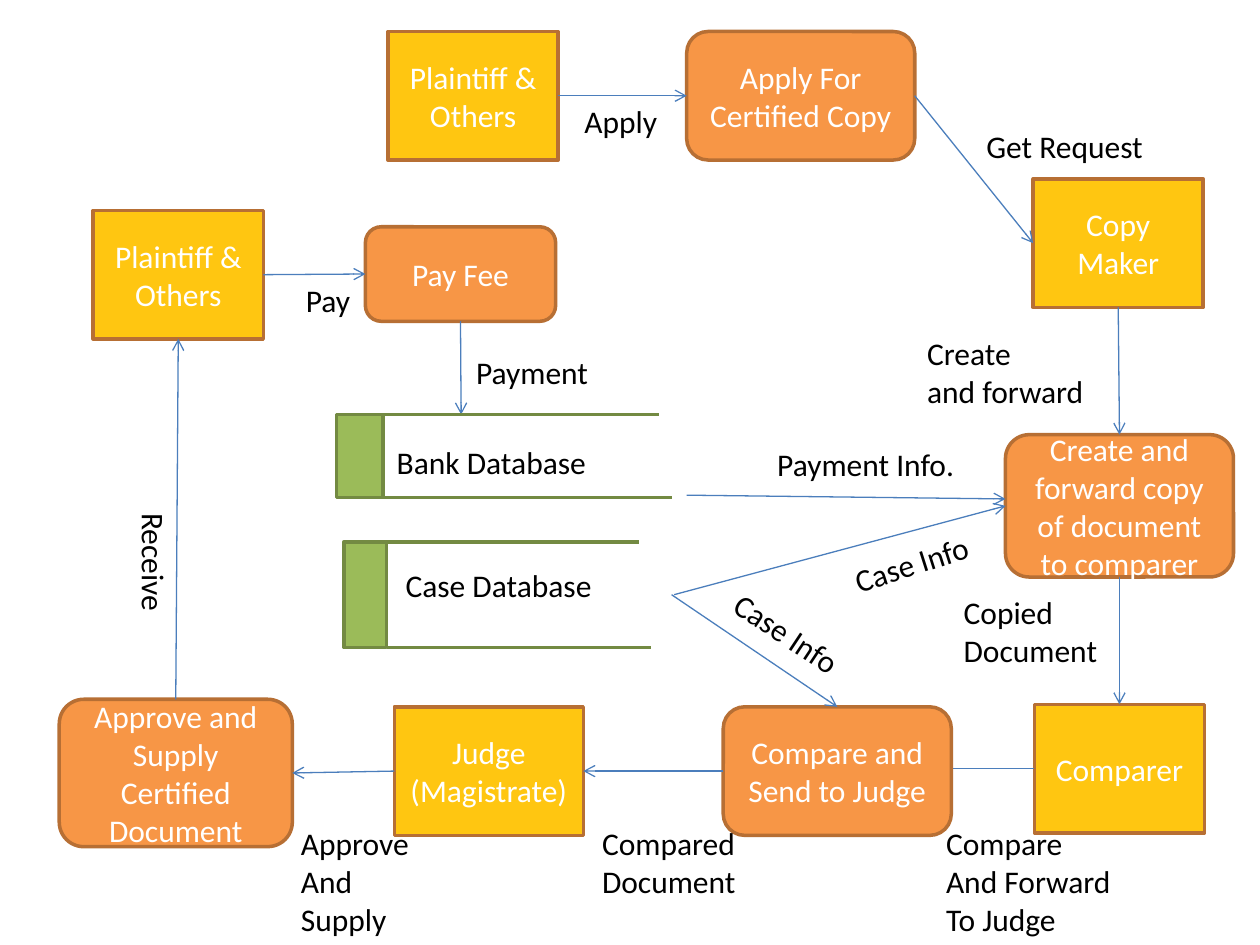
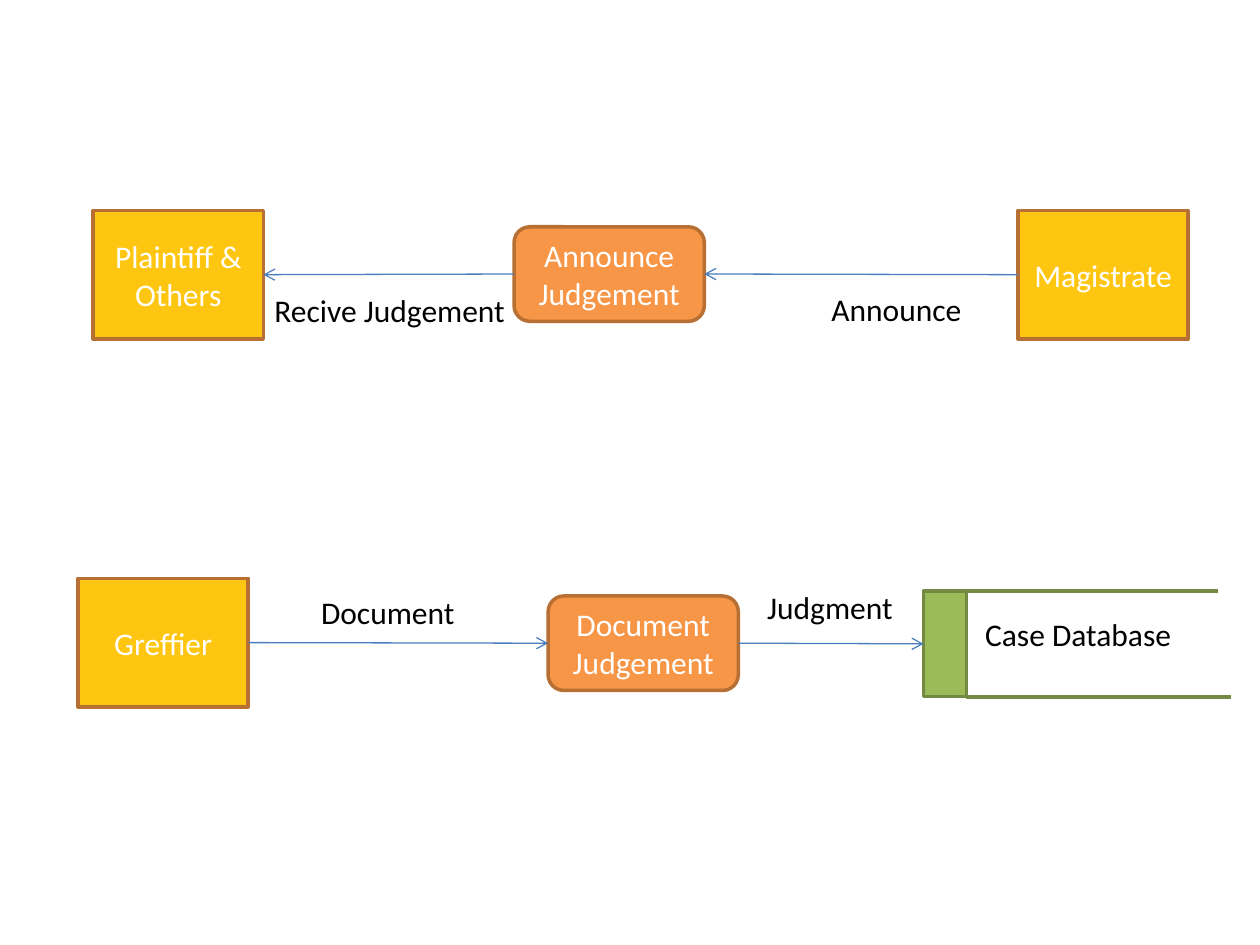
from pptx import Presentation
from pptx.dml.color import RGBColor
from pptx.enum.shapes import MSO_CONNECTOR as Wire, MSO_SHAPE as Form
from pptx.enum.text import MSO_ANCHOR as Anchor, PP_ALIGN as Align
from pptx.oxml.ns import qn
from pptx.util import Inches, Pt
from lxml.etree import SubElement

GOLD, AMBER, RUST = "FFC611", "F79646", "B76F34"
GREEN, MOSS, BLUE = "9BBB59", "738A42", "4B7EBC"
WHITE, BLACK = "FFFFFF", "000000"
TOP, LEFT, BOTTOM, RIGHT = range(4)
ACTOR, SMALL, LARGE = (1.35, 1.02), (1.51, 0.75), (1.81, 1.02)


def tint(code):
    """Turn a hex string into a colour."""
    return RGBColor.from_string(code)


def write(shape, text, color=BLACK, align=Align.LEFT, anchor=Anchor.TOP, wrap=True):
    """Put formatted text into a shape."""
    frame = shape.text_frame
    frame.text = text
    frame.word_wrap = wrap
    frame.vertical_anchor = anchor
    for para in frame.paragraphs:
        para.alignment = align
        para.font.name = "Calibri"
        para.font.size = Pt(18)
        para.font.color.rgb = tint(color)


class Pane:
    """A region of a slide whose parts are placed from its corner."""

    def __init__(self, slide, x=0, y=0):
        """Keep the slide and the corner."""
        self.shapes, self.x, self.y = slide.shapes, x, y

    def spot(self, x, y):
        """Turn a place in the region into one on the slide."""
        return Inches(self.x + x), Inches(self.y + y)

    def block(self, form, x, y, size, fill, edge):
        """Draw a filled and outlined shape."""
        shape = self.shapes.add_shape(form, *self.spot(x, y), *map(Inches, size))
        shape.shadow.inherit = False
        shape.fill.solid()
        shape.fill.fore_color.rgb = tint(fill)
        shape.line.color.rgb = tint(edge)
        shape.line.width = Pt(2)
        return shape

    def node(self, text, x, y, form, fill, size):
        """Draw a box with centred text."""
        shape = self.block(form, x, y, size, fill, RUST)
        write(shape, text, color=WHITE, align=Align.CENTER, anchor=Anchor.MIDDLE)
        return shape

    def actor(self, text, x, y, size=ACTOR):
        """Draw a person or role."""
        return self.node(text, x, y, Form.RECTANGLE, GOLD, size)

    def task(self, text, x, y, size=SMALL):
        """Draw a process."""
        return self.node(text, x, y, Form.ROUNDED_RECTANGLE, AMBER, size)

    def label(self, text, x, y, width, turn=0, wrap=False):
        """Write a caption as tall as its lines."""
        high = 0.1 + 0.3 * len(text.split("\n"))
        box = self.shapes.add_textbox(*self.spot(x, y), Inches(width), Inches(high))
        box.rotation = turn
        write(box, text, wrap=wrap)

    def line(self, start, end, color=BLUE, width=0.75, arrow=True):
        """Draw a line between points or (shape, side) pairs."""
        wire = self.shapes.add_connector(Wire.STRAIGHT, 0, 0, 0, 0)
        if isinstance(start[0], (int, float)):
            wire.begin_x, wire.begin_y = self.spot(*start)
        else:
            wire.begin_connect(*start)
        if isinstance(end[0], (int, float)):
            wire.end_x, wire.end_y = self.spot(*end)
        else:
            wire.end_connect(*end)
        wire.line.color.rgb = tint(color)
        wire.line.width = Pt(width)
        if arrow:
            SubElement(wire.line._get_or_add_ln(), qn("a:tailEnd"), type="arrow")
        SubElement(wire._element.spPr, qn("a:effectLst"))

    def store(self, text, x, y, size, tab, inset):
        """Draw an open-ended data store and return its tab."""
        wide, high = size
        mark = self.block(Form.RECTANGLE, x, y, (tab, high), GREEN, MOSS)
        for left, right, down in ((tab - 0.02, wide - 0.1, 0), (tab, wide, high)):
            self.line((x + left, y + down), (x + right, y + down), MOSS, 2, False)
        self.label(text, x + inset[0], y + inset[1], wide - inset[0], wrap=True)
        return mark

    def cases(self, x, y):
        """Draw the case store."""
        return self.store("Case Database", x, y, (2.44, 0.84), 0.34, (0.39, 0.14))


def request(slide, x, y):
    """Draw the application for a copy."""
    pane = Pane(slide, x, y)
    party = pane.actor("Plaintiff & Others", 0, 0)
    form = pane.task("Apply For Certified Copy", 2.37, 0, LARGE)
    pane.line((party, RIGHT), (form, LEFT))
    pane.label("Apply", 1.46, 0.51, 0.79)
    return form


def payment(slide, x, y):
    """Draw the fee payment."""
    pane = Pane(slide, x, y)
    party = pane.actor("Plaintiff & Others", 0, 0)
    fee = pane.task("Pay Fee", 2.16, 0.13)
    pane.line((party, RIGHT), (fee, LEFT))
    pane.line((fee, BOTTOM), (2.92, 1.62))
    pane.label("Pay", 1.59, 0.51, 0.56)
    pane.label("Payment", 2.94, 1.08, 1.15, wrap=True)
    return party


def stores(slide, x, y):
    """Draw both data stores."""
    pane = Pane(slide, x, y)
    pane.store("Bank Database", 0, 0, (2.66, 0.66), 0.37, (0.38, 0.18))
    pane.cases(0.06, 1.01)


def copying(slide, x, y):
    """Draw the making of the copy."""
    pane = Pane(slide, x, y)
    maker = pane.actor("Copy\nMaker".replace("\n", " "), 0.94, 0)
    draft = pane.task("Create and forward copy of document to comparer",
                      0.72, 2.03, (1.81, 1.13))
    pane.line((maker, BOTTOM), (draft, TOP))
    pane.label("Get Request", 0.47, -0.46, 1.46)
    pane.label("Create\nand forward", 0, 1.18, 1.46)
    pane.label("Copied\nDocument", 0.29, 3.24, 1.27)
    return maker, draft


def review(slide, x, y):
    """Draw the comparison and approval."""
    pane = Pane(slide, x, y)
    clerk = pane.actor("Comparer", 7.74, 0.04)
    pane.line((clerk, LEFT), (6.45, 0.55))
    check = pane.task("Compare and Send to Judge", 5.27, 0.06, LARGE)
    judge = pane.actor("Judge\n(Magistrate)", 2.66, 0.06, (1.5, 1.02))
    grant = pane.task("Approve and Supply\nCertified Document", 0, 0, (1.85, 1.17))
    pane.line((check, LEFT), (judge, RIGHT))
    pane.line((judge, LEFT), (grant, RIGHT))
    for text, left, wide in (("Approve\nAnd\nSupply", 1.82, 1.13),
                             ("Compared\nDocument", 4.21, 1.33),
                             ("Compare\nAnd Forward\nTo Judge", 6.94, 1.58)):
        pane.label(text, left, 0.94, wide)
    return clerk, check, grant


def certify(slide):
    """Build the certified copy slide."""
    form = request(slide, 3.08, 0.25)
    party = payment(slide, 0.74, 1.67)
    stores(slide, 2.67, 3.29)
    maker, draft = copying(slide, 7.26, 1.42)
    clerk, check, grant = review(slide, 0.47, 5.55)
    pane = Pane(slide)
    for start, end in (((form, RIGHT), (maker, LEFT)),
                       ((draft, BOTTOM), (clerk, TOP)),
                       ((grant, TOP), (party, BOTTOM)),
                       ((5.45, 3.93), (7.98, 3.96)),
                       ((5.35, 4.72), (draft, LEFT)),
                       ((5.33, 4.72), (check, TOP))):
        pane.line(start, end)
    pane.label("Payment Info.", 6.07, 3.48, 1.62)
    pane.label("Case Info", 6.67, 4.27, 1.14, turn=342.2)
    pane.label("Case Info", 5.68, 4.83, 1.14, turn=33.6)
    pane.label("Receive", 0.73, 4.27, 0.99, turn=90)


def announce(slide, x, y):
    """Draw the announcement of the judgement."""
    pane = Pane(slide, x, y)
    task = pane.task("Announce Judgement", 3.34, 0.13)
    party = pane.actor("Plaintiff & Others", 0, 0)
    judge = pane.actor("Magistrate", 7.34, 0)
    pane.line((task, LEFT), (party, RIGHT))
    pane.line((judge, LEFT), (task, RIGHT))
    pane.label("Announce", 5.76, 0.58, 1.25)
    pane.label("Recive Judgement", 1.34, 0.59, 2.05)


def record(slide, x, y):
    """Draw the filing of the judgement."""
    pane = Pane(slide, x, y)
    clerk = pane.actor("Greffier", 0, 0)
    task = pane.task("Document\nJudgement", 3.73, 0.14)
    mark = pane.cases(6.71, 0.1)
    pane.line((clerk, RIGHT), (task, LEFT))
    pane.line((task, RIGHT), (mark, LEFT))
    pane.label("Document", 1.83, 0.07, 1.27)
    pane.label("Judgment", 5.37, 0.03, 1.21)


def verdict(slide):
    """Build the judgement slide."""
    announce(slide, 0.74, 1.67)
    record(slide, 0.62, 4.59)


def main():
    """Build and save the deck."""
    deck = Presentation()
    deck.slide_width, deck.slide_height = Inches(10), Inches(7.5)
    for build in (certify, verdict):
        build(deck.slides.add_slide(deck.slide_layouts[6]))
    deck.save("out.pptx")


if __name__ == "__main__":
    main()
